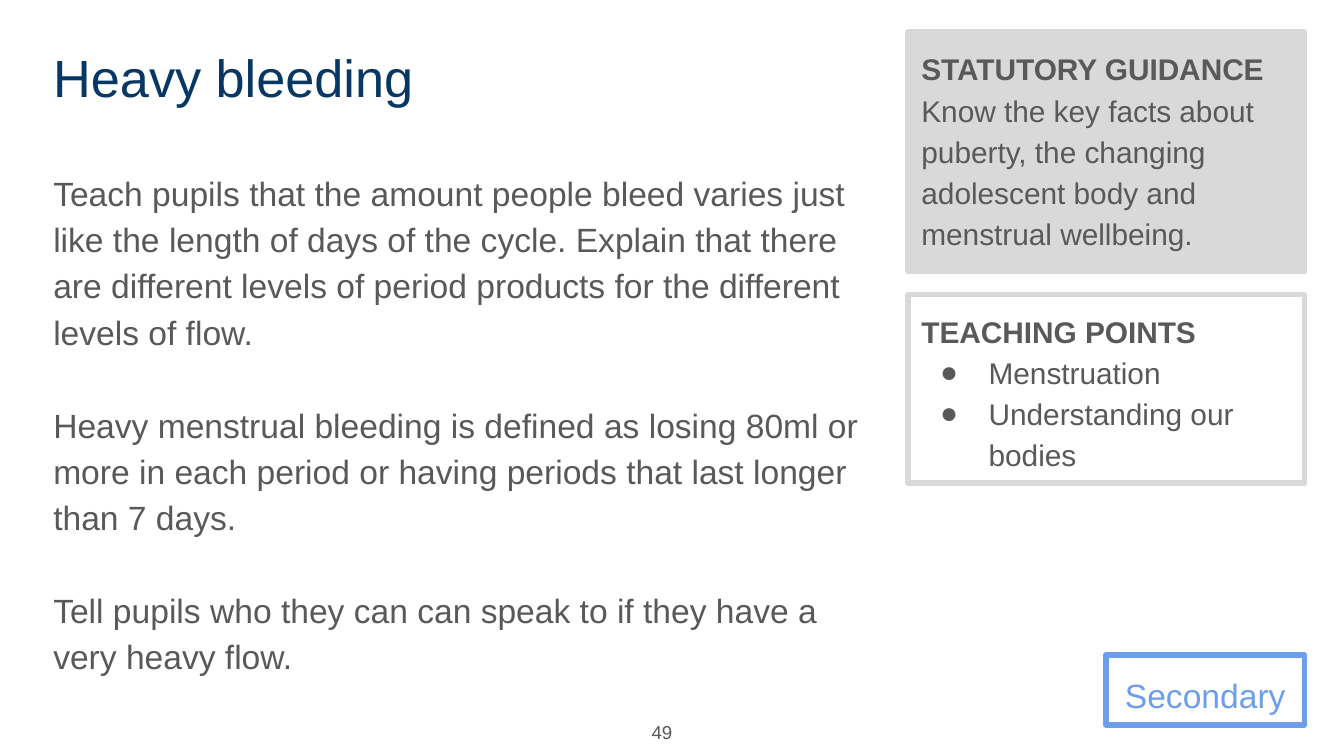
from lxml.etree import SubElement
from pptx import Presentation
from pptx.dml.color import RGBColor as Color
from pptx.enum.shapes import MSO_SHAPE as Preset
from pptx.enum.text import MSO_ANCHOR as Anchor, PP_ALIGN as Align
from pptx.oxml.ns import qn
from pptx.util import Inches, Pt

THEME = {
    "font": "Arial",
    "navy": Color.from_string("073763"),
    "text": Color.from_string("595959"),
    "panel": Color.from_string("D9D9D9"),
    "badge": Color.from_string("6D9EEB"),
    "title_size": Pt(28),
    "body_size": Pt(18),
    "panel_size": Pt(16),
    "number_size": Pt(10),
    "border": Pt(3),
    "spacing": 1.15,
    "body_gap": Pt(24.85),  # one empty line of body text
}

# Widescreen slide, 16 by 9
presentation = Presentation()
presentation.slide_width = Inches(10)
presentation.slide_height = presentation.slide_width * 9 // 16
slide = presentation.slides.add_slide(presentation.slide_layouts[6])

# Grid: 100 columns by 100 rows
COLUMN = presentation.slide_width / 100
ROW = presentation.slide_height / 100
LEFT, TOP = 2.98, 4.27
PANEL_LEFT, PANEL_WIDTH = 67.57, 29.5


def add_box(left, top, width, height, line=None, fill=None, anchor=Anchor.TOP):
    """Place a text box, or a bordered rectangle when a line colour is given."""
    place = [int(left * COLUMN), int(top * ROW), int(width * COLUMN), int(height * ROW)]
    if line is None:
        shape = slide.shapes.add_textbox(*place)
    else:
        shape = slide.shapes.add_shape(Preset.RECTANGLE, *place)
        shape.shadow.inherit = False
        shape.line.color.rgb, shape.line.width = line, THEME["border"]
        if fill is None:
            shape.fill.background()
        else:
            shape.fill.solid()
            shape.fill.fore_color.rgb = fill
    frame = shape.text_frame
    values = {"word_wrap": True, "vertical_anchor": anchor}
    values |= {f"margin_{side}": Inches(0.1) for side in ("left", "top", "right", "bottom")}
    for name, value in values.items():
        setattr(frame, name, value)
    return frame


def write(frame, index, lines, size, color, bold=(), bullet=False, **formats):
    """Fill one paragraph; its lines are parted by line breaks."""
    paragraph = frame.paragraphs[0] if index == 0 else frame.add_paragraph()
    if bullet:
        properties = paragraph._p.get_or_add_pPr()
        properties.set("marL", str(Inches(0.5)))
        properties.set("indent", str(Inches(-0.36)))
        bullet_color = SubElement(properties, qn("a:buClr"))
        SubElement(bullet_color, qn("a:srgbClr"), val=str(color))
        SubElement(properties, qn("a:buFont"), typeface=THEME["font"])
        SubElement(properties, qn("a:buChar"), char="●")
    for name, value in ({"alignment": Align.LEFT} | formats).items():
        setattr(paragraph, name, value)
    for number, line in enumerate(lines):
        if number:
            paragraph.add_line_break()
        run = paragraph.add_run()
        run.text = line
        values = {"name": THEME["font"], "size": size, "bold": number in bold}
        for name, value in values.items():
            setattr(run.font, name, value)
        run.font.color.rgb = color


# Level badge
badge = add_box(82.3, 86.64, 14.75, 9.24, line=THEME["badge"])
write(badge, 0, ["Secondary"], THEME["body_size"], THEME["badge"],
      alignment=Align.CENTER, line_spacing=THEME["spacing"])

# Title
title = add_box(LEFT, TOP, 66, 11.2)
write(title, 0, ["Heavy bleeding"], THEME["title_size"], THEME["navy"])

# Body text
body = add_box(LEFT, 20.27, 63.2, 73.24)
body_texts = [
    "Teach pupils that the amount people bleed varies just like the length of days "
    "of the cycle. Explain that there are different levels of period products for "
    "the different levels of flow.",
    "Heavy menstrual bleeding is defined as losing 80ml or more in each period or "
    "having periods that last longer than 7 days.",
    "Tell pupils who they can can speak to if they have a very heavy flow.",
]
for index, text in enumerate(body_texts):
    write(body, index, [text], THEME["body_size"], THEME["text"],
          line_spacing=THEME["spacing"],
          space_before=THEME["body_gap"] if index else Pt(0))

# Statutory guidance panel
guidance = add_box(PANEL_LEFT, TOP, PANEL_WIDTH, 31.64, THEME["panel"], THEME["panel"])
guidance_lines = [
    "STATUTORY GUIDANCE",
    "Know the key facts about puberty, the changing adolescent body and menstrual wellbeing.",
]
write(guidance, 0, guidance_lines, THEME["panel_size"], THEME["text"], bold=(0,),
      line_spacing=THEME["spacing"])

# Page number
page_number = add_box(45.9, 93.51, 5.1, 6.58, anchor=Anchor.MIDDLE)
write(page_number, 0, ["49"], THEME["number_size"], THEME["text"], alignment=Align.RIGHT)

# Teaching points panel
teaching = add_box(PANEL_LEFT, 38.98, PANEL_WIDTH, 24.89, THEME["panel"])
points = ["TEACHING POINTS", "Menstruation", "Understanding our bodies"]
for index, text in enumerate(points):
    write(teaching, index, [text], THEME["panel_size"], THEME["text"],
          bold=() if index else (0,), bullet=index > 0, line_spacing=THEME["spacing"])

presentation.save("out.pptx")
